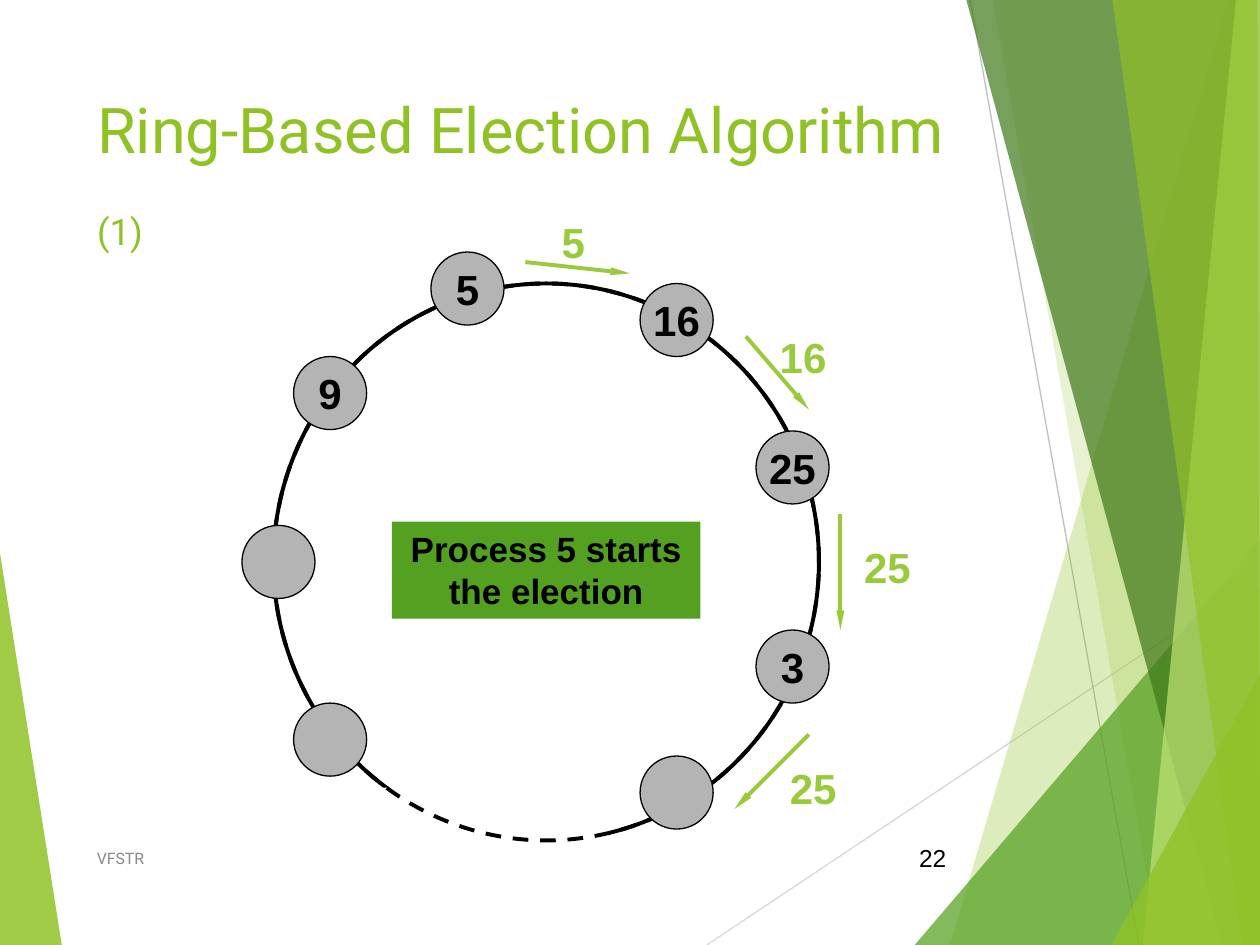
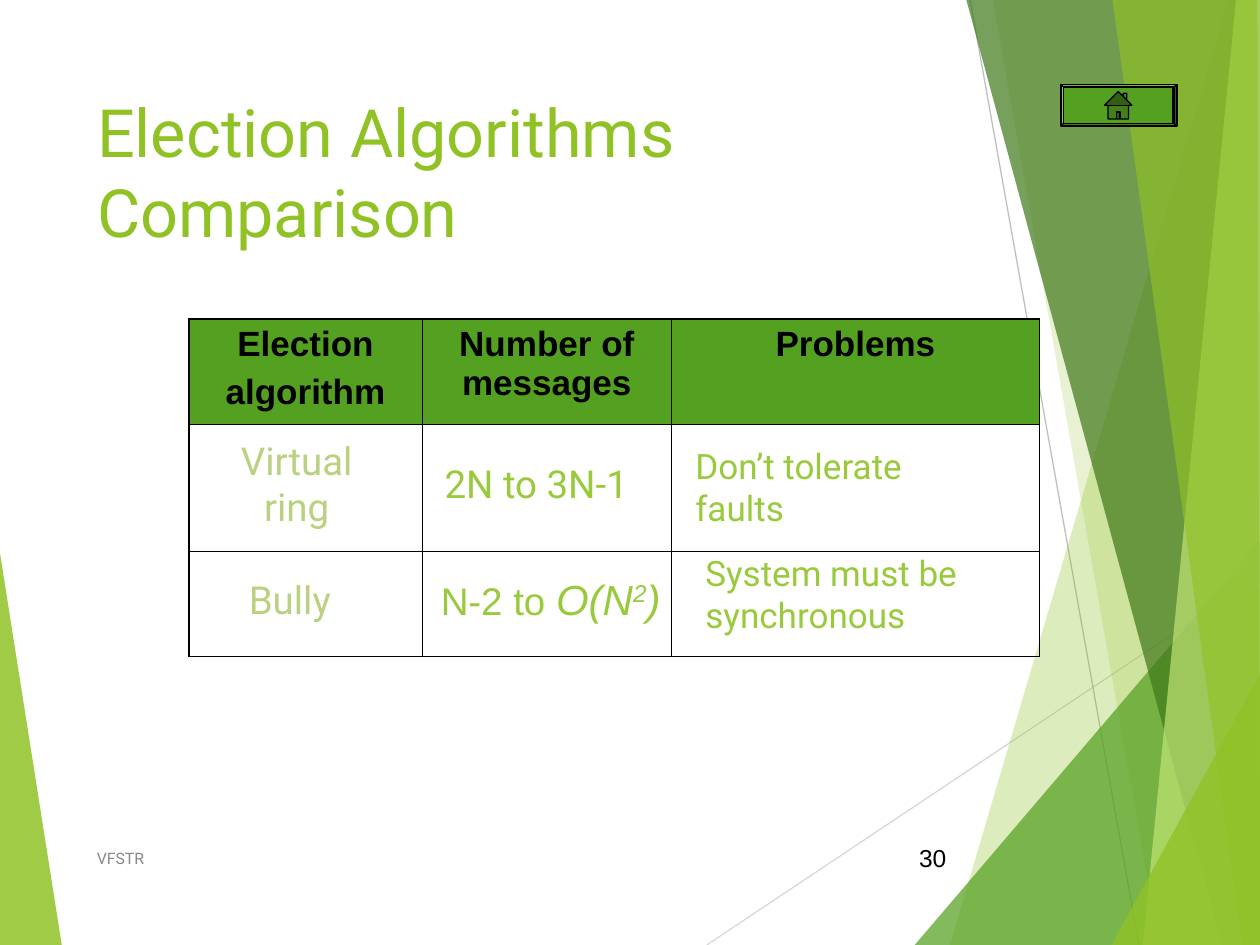
from lxml.etree import SubElement as Sub
from pptx import Presentation
from pptx.dml.color import RGBColor as Rgb
from pptx.enum.dml import MSO_LINE as Dash
from pptx.enum.shapes import MSO_CONNECTOR as Link, MSO_SHAPE as Shape
from pptx.enum.text import MSO_ANCHOR as Anchor, MSO_AUTO_SIZE as Fit, PP_ALIGN as Align
from pptx.oxml.ns import qn
from pptx.util import Pt

PX = 9144  # 100 px to the inch
WIDE, HIGH = 1000, 750

BLACK = Rgb(0, 0, 0)
WHITE = Rgb(255, 255, 255)
LIME = Rgb(0x90, 0xC2, 0x26)
GREEN = Rgb(0x54, 0xA0, 0x21)
DARK = Rgb(0x3F, 0x78, 0x19)
PALE = Rgb(0xC0, 0xE4, 0x74)
LEAF = Rgb(0x99, 0xCA, 0x3C)
SAGE = Rgb(0xB9, 0xD1, 0x81)
NODE = Rgb(0xB4, 0xB4, 0xB4)
GREY = Rgb(0x89, 0x89, 0x89)
SILVER = Rgb(0xBF, 0xBF, 0xBF)
MIST = Rgb(0xD9, 0xD9, 0xD9)

SANS, ROBOTO = "Arial", "Roboto"

# Corner points, colour, opacity in percent
BANDS = [
    ([(0, 439), (49, 750), (0, 750)], LIME, 85),
    ([(975, 0), (754, 750), (1000, 750), (1000, 0)], LIME, 30),
    ([(788, 0), (920, 750), (1000, 750), (1000, 0)], LIME, 20),
    ([(726, 750), (1000, 429), (1000, 750)], GREEN, 72),
    ([(767, 0), (970, 750), (1000, 750), (1000, 0)], DARK, 70),
    ([(981, 0), (907, 750), (1000, 750), (1000, 0)], PALE, 70),
    ([(883, 0), (986, 750), (1000, 750), (998, 0)], LIME, 65),
    ([(882, 750), (1000, 535), (1000, 750)], LIME, 80),
]
RAYS = [((561, 750), (1000, 457), MIST), ((770, 0), (904, 750), SILVER)]

NODES = [(508, 600, ""), (233, 558, ""), (192, 417, ""), (233, 283, "9"),
         (342, 200, "5"), (508, 225, "16"), (600, 342, "25"), (600, 500, "3")]
# Arrow start and end, then label place and text
SENDS = [((417, 208), (500, 217), (436, 167), "5"),
         ((592, 267), (642, 325), (609, 258), "16"),
         ((667, 408), (667, 500), (676, 425), "25"),
         ((642, 583), (583, 642), (617, 600), "25")]

COLS, ROWS = (185, 198, 292), (84, 101, 83)
HEADS = [["Election", "algorithm"], ["Number of messages"], ["Problems"]]


def emu(*sizes):
    return [size * PX for size in sizes]


def style(font, size, color, name=SANS, bold=False):
    font.size, font.name, font.bold = Pt(size), name, bold
    font.color.rgb = color


def write(frame, lines, size, color, name=SANS, bold=False,
          align=Align.LEFT, anchor=Anchor.TOP, wrap=False):
    frame.word_wrap, frame.vertical_anchor = wrap, anchor
    for i, line in enumerate(lines):
        par = frame.add_paragraph() if i else frame.paragraphs[0]
        par.text, par.alignment = line, align
        style(par.font, size, color, name, bold)


def label(slide, box, lines, size, color, **look):
    frame = slide.shapes.add_textbox(*emu(*box)).text_frame
    write(frame, lines, size, color, **look)
    return frame


def paint(shape, fill=None, line=None, width=0.75):
    shape.shadow.inherit = False
    if fill is None:
        shape.fill.background()
    else:
        shape.fill.solid()
        shape.fill.fore_color.rgb = fill
    if line is None:
        shape.line.fill.background()
    else:
        shape.line.color.rgb, shape.line.width = line, Pt(width)


def block(shapes, kind, box, *look):
    shape = shapes.add_shape(kind, *emu(*box))
    paint(shape, *look)
    return shape


def stroke(slide, start, end, color, width):
    line = slide.shapes.add_connector(Link.STRAIGHT, *emu(*start, *end))
    line.line.color.rgb, line.line.width = color, Pt(width)
    Sub(line.element.spPr, qn("a:effectLst"))
    return line


def arrow(slide, start, end):
    line = stroke(slide, start, end, LEAF, 2.25)
    Sub(line.line._get_or_add_ln(), qn("a:tailEnd"), type="triangle", w="sm", len="lg")


def band(slide, points, color, alpha):
    path = slide.shapes.build_freeform(*points[0], scale=PX)
    path.add_line_segments(points[1:])
    shape = path.convert_to_shape()
    paint(shape, color)
    tint = next(shape.element.spPr.iter(qn("a:srgbClr")))
    Sub(tint, qn("a:alpha"), val=str(alpha * 1000))
    return shape


def dress(layout, slide):
    """Draw the backdrop on the slide, then move it to the layout."""
    tree = layout.shapes.element
    for spare in list(layout.placeholders)[1:]:
        tree.remove(spare.element)
    parts = [band(slide, *BANDS[0])]
    parts += [stroke(slide, *ray, 0.75) for ray in RAYS]
    parts += [band(slide, *item) for item in BANDS[1:]]
    for part in parts:
        tree.append(part.element)


def head(slide, text, size):
    title = slide.shapes.title
    title.left, title.top, title.width, title.height = emu(67, 67, 694, 144)
    write(title.text_frame, [text], size, LIME, name=ROBOTO, wrap=True)
    title.text_frame.auto_size = Fit.NONE
    return title.text_frame.paragraphs[0]


def foot(slide, page):
    label(slide, (67, 661, 506, 40), ["VFSTR"], 9, GREY, name=ROBOTO,
          anchor=Anchor.MIDDLE, wrap=True)
    label(slide, (705, 661, 56, 40), [page], 14, BLACK,
          align=Align.RIGHT, anchor=Anchor.MIDDLE, wrap=True)


def shift(run, part):
    """Raise or lower a run by a percentage of its size."""
    run._r.get_or_add_rPr().set("baseline", str(part * 1000))


def ring(slide):
    shapes = slide.shapes.add_group_shape().shapes
    oval = (217, 225, 433, 442)
    block(shapes, Shape.OVAL, oval, None, BLACK, 2.25)
    block(shapes, Shape.RECTANGLE, (283, 625, 200, 58), WHITE)
    dashed = block(shapes, Shape.OVAL, oval, None, BLACK, 2.25)
    dashed.line.dash_style = Dash.DASH


def node(slide, left, top, name):
    shape = block(slide.shapes, Shape.OVAL, (left, top, 58, 58), NODE, BLACK)
    if name:
        write(shape.text_frame, [name], 24, BLACK, bold=True,
              align=Align.CENTER, anchor=Anchor.MIDDLE)


def edge(cell, side, width):
    line = Sub(cell._tc.get_or_add_tcPr(), qn("a:ln" + side), w=str(Pt(width)))
    Sub(Sub(line, qn("a:solidFill")), qn("a:srgbClr"), val=str(BLACK))


def grid(slide):
    """Add the table with thick outer and thin inner borders."""
    box = emu(150, 253, sum(COLS), sum(ROWS))
    table = slide.shapes.add_table(len(ROWS), len(COLS), *box).table
    table.horz_banding = False
    for col, width in zip(table.columns, COLS):
        col.width = width * PX
    for r, high in enumerate(ROWS):
        table.rows[r].height = high * PX
        for c in range(len(COLS)):
            cell = table.cell(r, c)
            outer = {"L": c == 0, "R": c == len(COLS) - 1,
                     "T": r == 0, "B": r == len(ROWS) - 1}
            for side, thick in outer.items():
                edge(cell, side, 1.08 if thick else 0.45)
            if r:
                cell.fill.background()
                continue
            cell.fill.solid()
            cell.fill.fore_color.rgb = GREEN
            write(cell.text_frame, HEADS[c], 20, BLACK, bold=True,
                  align=Align.CENTER, wrap=True)
            for par in cell.text_frame.paragraphs[1:]:
                par.space_before = Pt(5)


def order(slide):
    """Add the message count N-2 to O(N squared)."""
    frame = label(slide, (340, 450, 200, 50), ["N-2 to "], 22, LEAF)
    par = frame.paragraphs[0]
    for text in ("Ο(N", "2", ")"):
        run = par.add_run()
        run.text = text
        run.font.size, run.font.italic = Pt(24), True
        if text == "2":
            shift(run, 30)


def home(slide):
    frame = block(slide.shapes, Shape.BEVEL, (842, 67, 92, 33), GREEN, BLACK)
    frame.adjustments[0] = 0.06
    block(slide.shapes, Shape.ACTION_BUTTON_HOME, (844, 69, 87, 29), GREEN, BLACK)


def election(slide):
    par = head(slide, "Ring-Based Election Algorithm ", 36)
    part = par.add_run()
    part.text = "(1)"
    shift(part, -25)
    ring(slide)
    for item in NODES:
        node(slide, *item)
    note = block(slide.shapes, Shape.RECTANGLE, (311, 414, 245, 77), GREEN)
    write(note.text_frame, ["Process 5 starts", "the election"], 20, BLACK,
          bold=True, align=Align.CENTER, wrap=True)
    for start, end, place, text in SENDS:
        arrow(slide, start, end)
        width = 38 if len(text) == 1 else 57
        label(slide, (*place, width, 50), [text], 24, LEAF, bold=True)
    foot(slide, "22")


def compare(slide):
    head(slide, "Election Algorithms Comparison", 38)
    grid(slide)
    label(slide, (179, 342, 113, 84), ["Virtual", "ring"], 22, SAGE,
          name=ROBOTO, align=Align.CENTER)
    label(slide, (343, 360, 174, 47), ["2N to 3N-1"], 22, LEAF, name=ROBOTO)
    label(slide, (185, 452, 90, 47), ["Bully"], 22, SAGE,
          name=ROBOTO, align=Align.CENTER)
    order(slide)
    label(slide, (542, 348, 287, 77), ["Don’t tolerate", "faults"], 20, LEAF,
          name=ROBOTO, wrap=True)
    label(slide, (550, 433, 237, 77), ["System must be synchronous"], 20, LEAF,
          name=ROBOTO, wrap=True)
    home(slide)
    foot(slide, "30")


def main():
    deck = Presentation()
    deck.slide_width, deck.slide_height = emu(WIDE, HIGH)
    layout = deck.slide_layouts.get_by_name("Title Only")
    first, second = [deck.slides.add_slide(layout) for _ in range(2)]
    dress(layout, first)
    election(first)
    compare(second)
    deck.save("out.pptx")


if __name__ == "__main__":
    main()
